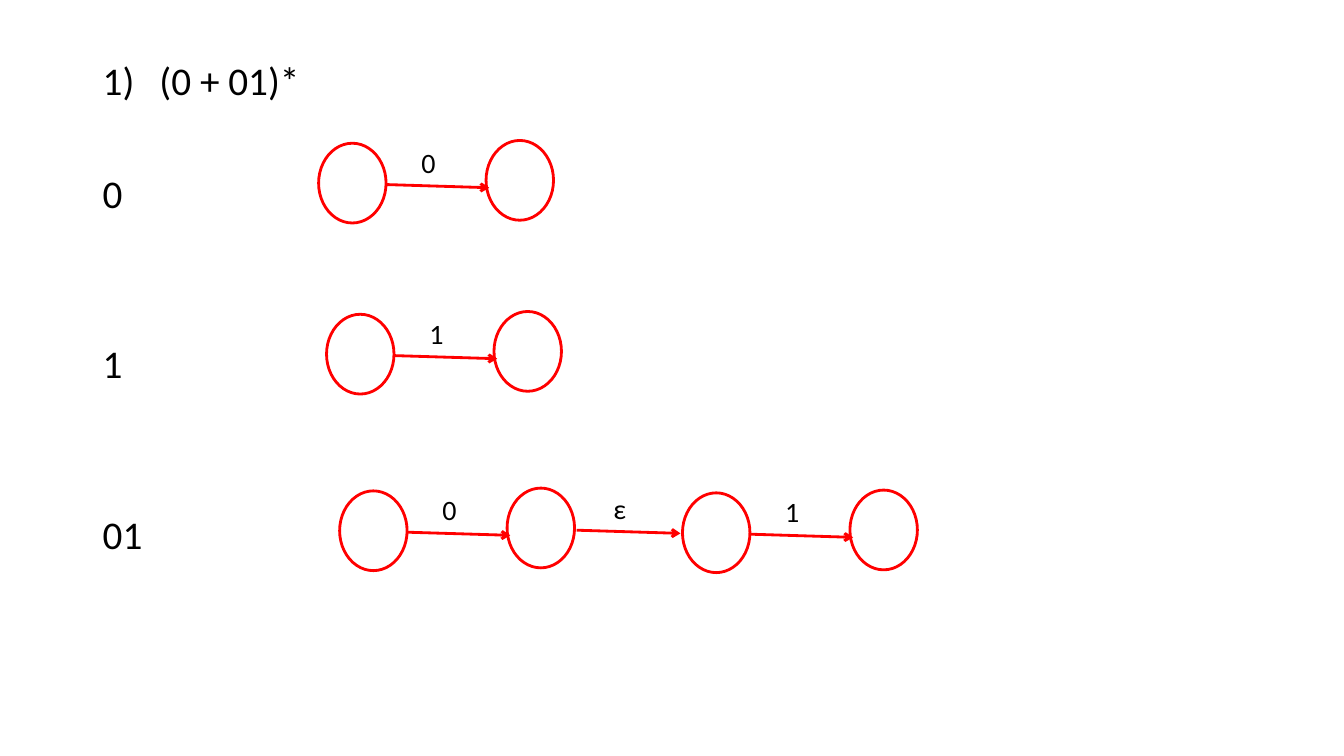
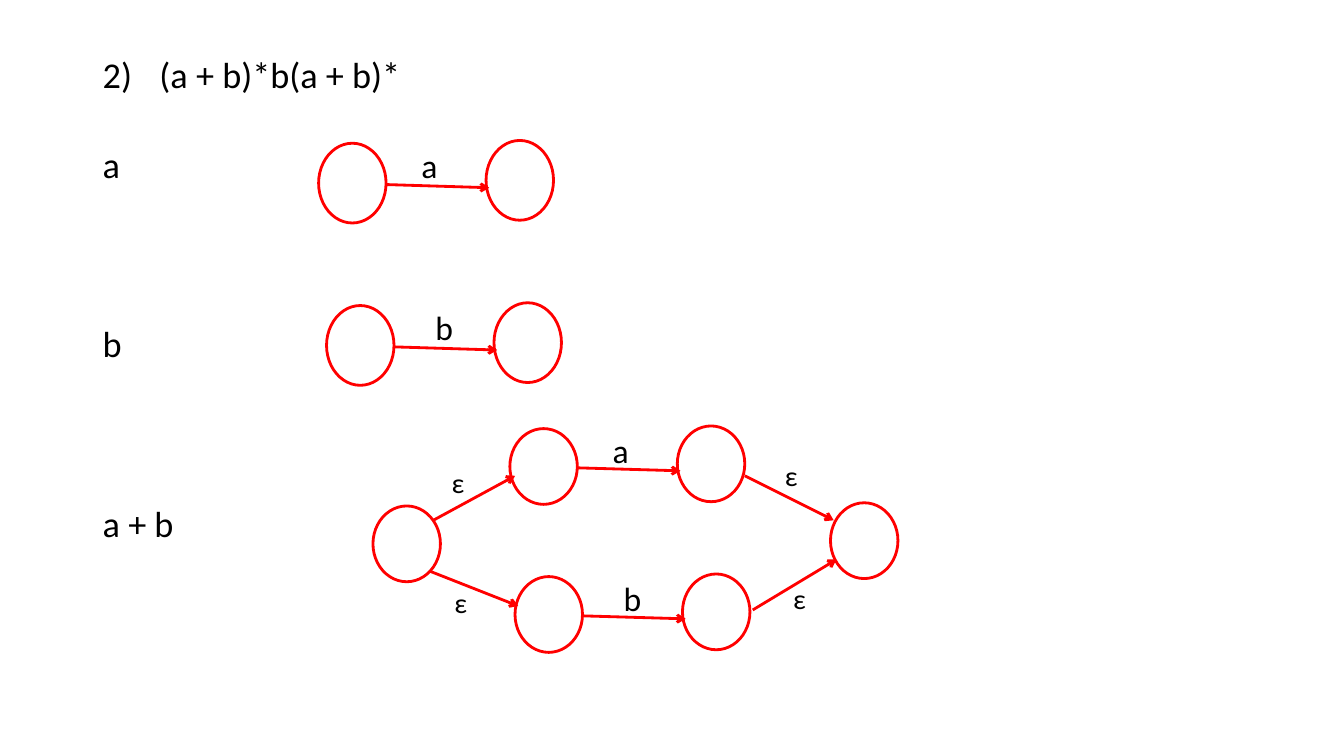
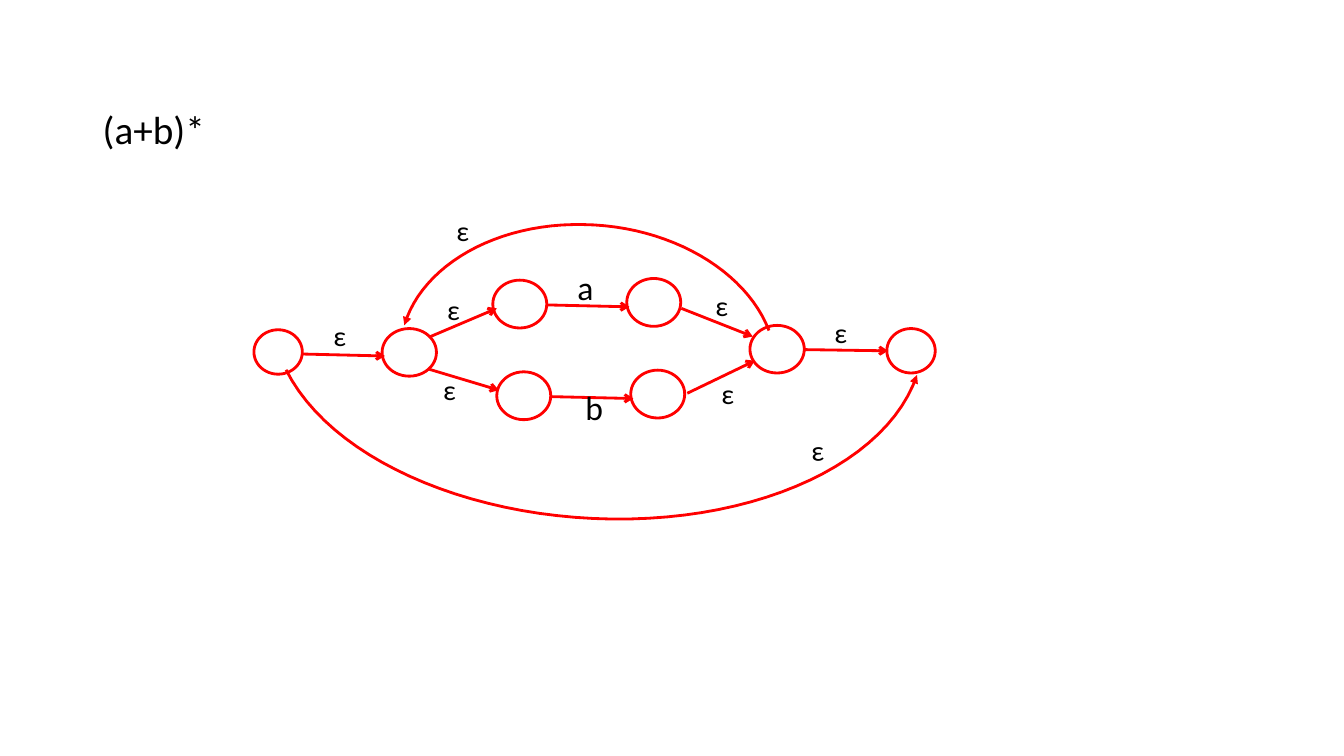
import pptx
import pptx.dml.color
import pptx.enum.shapes
import pptx.oxml
import pptx.oxml.ns
import pptx.util
from lxml import etree

Cm = pptx.util.Cm
Pt = pptx.util.Pt
COLOURS = {"text": "000000", "line": "FF0000"}
FONT = "Calibri"
ROW_GAP = 10        # points before each row
LINE_HEIGHT = 1.22  # line height of the font, as a share of its size


def colour(name):
    return pptx.dml.color.RGBColor.from_string(COLOURS[name])


def write(para, text, size=20, spacing=None, before=None, number=None):
    """Write text into a paragraph; number makes it a numbered item."""
    if number:
        properties = para._p.get_or_add_pPr()
        properties.set("marL", str(Cm(1.43)))
        properties.set("indent", str(-Cm(1.43)))
        etree.SubElement(properties, pptx.oxml.ns.qn("a:buAutoNum"),
                         type="arabicParenR", startAt=str(number))
    if spacing:
        para.line_spacing = spacing
    if before:
        para.space_before = Pt(before)
    span = para.add_run()
    span.text = text
    span.font.name = FONT
    span.font.size = Pt(size)
    span.font.color.rgb = colour("text")


class AutomatonDeck:
    """Holds the style and the current slide; draws state diagrams in cm."""

    NODE = (1.7, 2.01)
    SMALL_NODE = (1.22, 1.12)

    def __init__(self):
        self.deck = pptx.Presentation()
        self.deck.slide_width = Cm(33.87)
        self.deck.slide_height = Cm(19.05)
        self.shapes = None

    def new_slide(self):
        self.shapes = self.deck.slides.add_slide(self.deck.slide_layouts[6]).shapes

    def text_box(self, x, y, width, height):
        box = self.shapes.add_textbox(Cm(x), Cm(y), Cm(width), Cm(height))
        box.text_frame.word_wrap = True
        return box

    def rows(self, top, entries, size=28, spacing=0.9, number=None):
        """Left column; each entry is (text, empty lines above it)."""
        frame = self.text_box(2.34, top, 29.3, 17.1 - top).text_frame
        pitch = size * LINE_HEIGHT * spacing + ROW_GAP
        for index, (text, skipped) in enumerate(entries):
            first = index == 0
            write(frame.paragraphs[0] if first else frame.add_paragraph(), text,
                  size=size, spacing=spacing, number=number if first else None,
                  before=None if first else round(ROW_GAP + skipped * pitch, 1))

    def label(self, x, y, text, size=20, rotation=0):
        box = self.text_box(x, y, 0.95, 0.95)
        box.rotation = rotation
        write(box.text_frame.paragraphs[0], text, size=size)

    def outline(self, shape, head=None):
        shape.line.color.rgb = colour("line")
        shape.line.width = Pt(2)
        if head:
            etree.SubElement(shape.line._get_or_add_ln(),
                             pptx.oxml.ns.qn("a:tailEnd"), type=head)

    def node(self, x, y, size=NODE):
        oval = self.shapes.add_shape(pptx.enum.shapes.MSO_SHAPE.OVAL,
                                     Cm(x), Cm(y), Cm(size[0]), Cm(size[1]))
        oval.shadow.inherit = False
        oval.fill.background()
        self.outline(oval)

    def arrow(self, x1, y1, x2, y2):
        line = self.shapes.add_connector(pptx.enum.shapes.MSO_CONNECTOR.STRAIGHT,
                                         Cm(x1), Cm(y1), Cm(x2), Cm(y2))
        self.outline(line, head="arrow")
        etree.SubElement(line._element.spPr, pptx.oxml.ns.qn("a:effectLst"))

    def edge(self, ends, label_at, text="ε"):
        self.arrow(*ends)
        self.label(*label_at, text)

    def step(self, x, y, text, size=20, label=(2.34, -0.08), scale=(1, 1)):
        """Two states joined by an arrow that reads one symbol."""
        across, down = scale
        node_size = (self.NODE[0] * across, self.NODE[1] * down)
        self.node(x, y, node_size)
        self.node(x + 4.22 * across, y - 0.07 * down, node_size)
        self.arrow(x + 1.68 * across, y + 1.04 * down,
                   x + 4.3 * across, y + 1.12 * down)
        self.label(x + label[0], y + label[1], text, size=size)

    def arc(self, points, pieces=24):
        """Open curve through chained cubic Béziers, ending in an arrowhead."""
        track = [points[0]]
        for start in range(0, len(points) - 1, 3):
            a, b, c, d = points[start:start + 4]
            for piece in range(1, pieces + 1):
                t = piece / pieces
                u = 1 - t
                track.append([u**3 * a[i] + 3 * u * u * t * b[i]
                              + 3 * u * t * t * c[i] + t**3 * d[i] for i in (0, 1)])
        track = [(Cm(x), Cm(y)) for x, y in track]
        builder = self.shapes.build_freeform(*track[0])
        builder.add_line_segments(track[1:], close=False)
        curve = builder.convert_to_shape()
        curve.shadow.inherit = False
        curve.fill.background()
        self.outline(curve, head="triangle")


def main():
    page = AutomatonDeck()

    # Slide 1: 0, 1 and their concatenation
    page.new_slide()
    page.rows(1.42, [("(0 + 01)*", 0), ("0", 1), ("1", 2), ("01", 2)], number=1)
    for x, y, symbol in [(8.03, 3.61, "0"), (8.23, 7.92, "1"),
                         (8.56, 12.37, "0"), (17.2, 12.42, "1")]:
        page.step(x, y, symbol)
    page.edge((14.53, 13.36, 17.15, 13.44), (15.21, 12.27))

    # Slide 2: a, b and their union
    page.new_slide()
    page.rows(1.5, [("(a + b)*b(a + b)*", 0), ("a", 1), ("b", 3), ("a + b", 3)],
              size=25.9, spacing=0.7, number=2)
    for x, y, symbol, label_x, down in [
            (8.03, 3.61, "a", 2.34, 1), (8.23, 7.7, "b", 2.49, 1),
            (12.85, 10.8, "a", 2.34, 0.95), (12.98, 14.53, "b", 2.49, 0.95)]:
        page.step(x, y, symbol, size=24, label=(label_x, -0.08), scale=(1, down))
    for x, y in [(9.4, 12.75), (20.93, 12.67)]:
        page.node(x, y, (1.7, 1.91))
    for ends, label_at in [
            ((10.92, 13.11, 12.98, 11.99), (11.13, 11.61)),
            ((10.85, 14.4, 13.06, 15.27), (11.2, 14.63)),
            ((18.77, 11.99, 21.01, 13.11), (19.53, 11.43)),
            ((18.97, 15.37, 21.08, 14.1), (19.74, 14.53))]:
        page.edge(ends, label_at)

    # Slide 3: closure of the union
    page.new_slide()
    page.rows(2.67, [("(a+b)*", 0)])
    for x, y, symbol, label in [(12.42, 7.06, "a", (1.88, -0.46)),
                                (12.52, 9.37, "b", (1.98, 0.25))]:
        page.step(x, y, symbol, size=24, label=label, scale=(0.8, 0.6))
    for x, y in [(9.63, 8.28), (18.9, 8.2)]:
        page.node(x, y, (1.37, 1.2))
    for x, y in [(6.4, 8.31), (22.35, 8.28)]:
        page.node(x, y, page.SMALL_NODE)
    for ends, label_at in [
            ((10.85, 8.48, 12.52, 7.77), (11.02, 7.24)),
            ((10.8, 9.3, 12.57, 9.83), (10.92, 9.27)),
            ((17.17, 7.77, 18.97, 8.48), (17.78, 7.14)),
            ((17.32, 9.91, 19.02, 9.09), (17.93, 9.37)),
            ((7.59, 8.92, 9.7, 8.97), (8.15, 7.9)),
            ((20.29, 8.81, 22.38, 8.84), (20.78, 7.82))]:
        page.edge(ends, label_at)

    # Repeat and skip arcs
    page.arc([(19.38, 8.33), (18.8, 6.81), (16.87, 5.69), (14.71, 5.66),
              (12.52, 5.61), (10.64, 6.68), (10.19, 8.2)])
    page.label(11.25, 5.26, "ε")
    page.arc([(7.21, 9.32), (8.31, 11.51), (11.68, 13.03), (15.42, 13.08),
              (19.2, 13.13), (22.38, 11.63), (23.11, 9.45)])
    page.label(20.19, 10.8, "ε", rotation=-2.5)

    page.deck.save("out.pptx")


if __name__ == "__main__":
    main()
